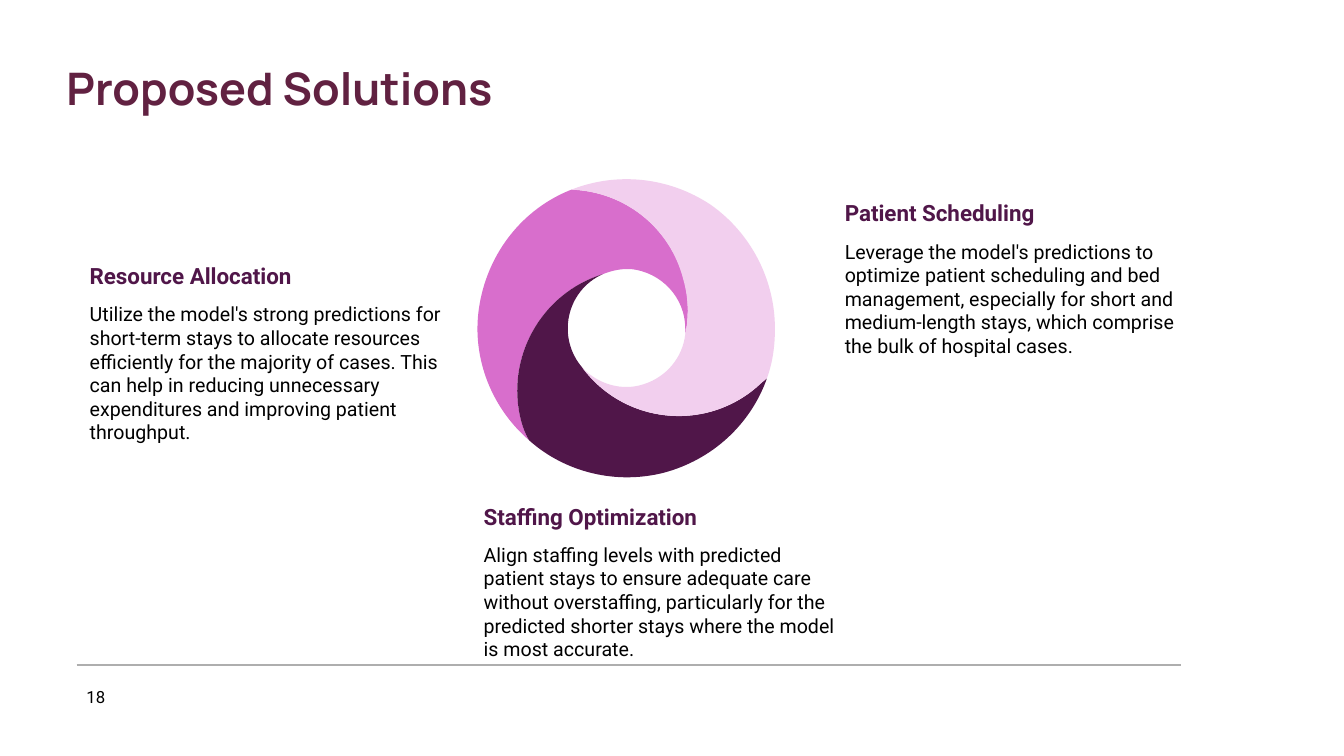
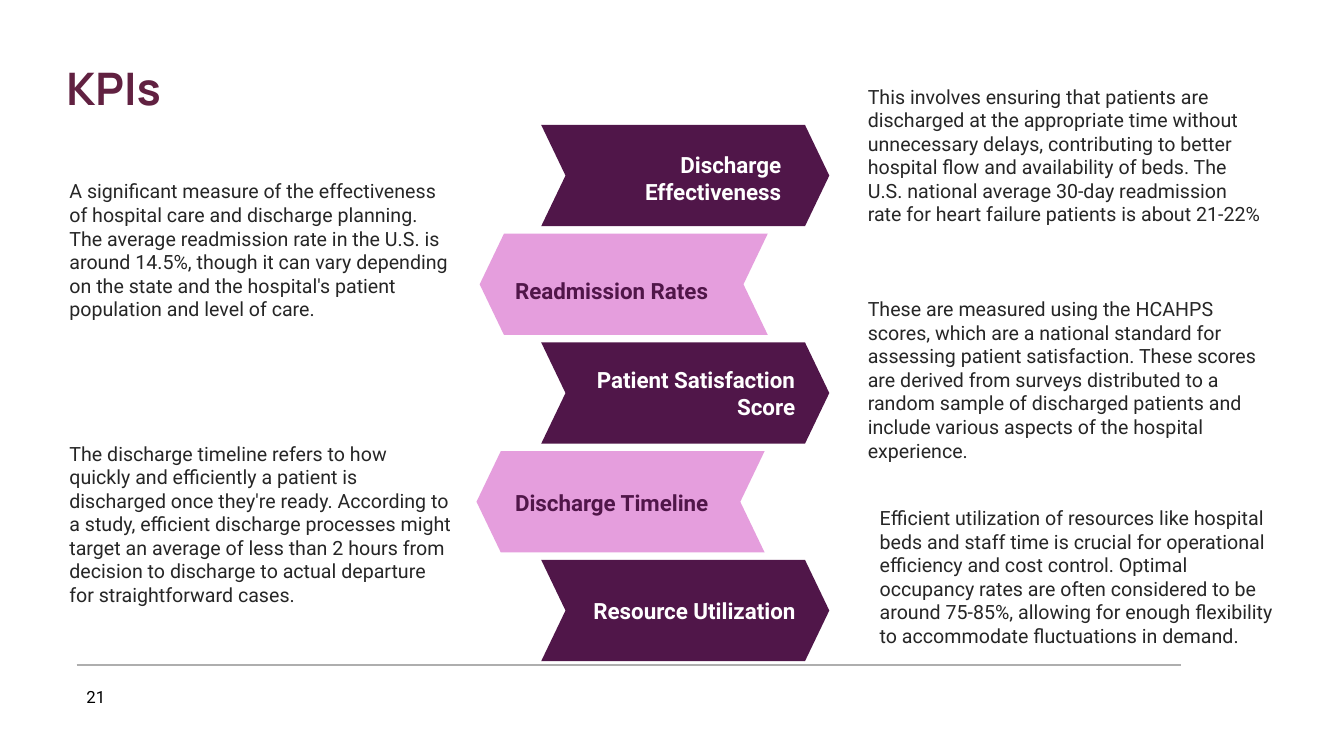
from lxml import etree
from pptx import Presentation
from pptx.dml.color import RGBColor
from pptx.enum.shapes import MSO_CONNECTOR, MSO_SHAPE
from pptx.enum.text import MSO_ANCHOR, MSO_AUTO_SIZE, PP_ALIGN
from pptx.oxml.ns import qn
from pptx.util import Cm, Pt

STRAIGHT = MSO_CONNECTOR.STRAIGHT
CHEVRON = MSO_SHAPE.CHEVRON
TOP, MIDDLE = MSO_ANCHOR.TOP, MSO_ANCHOR.MIDDLE
LEFT, RIGHT = PP_ALIGN.LEFT, PP_ALIGN.RIGHT
NO_AUTOFIT = MSO_AUTO_SIZE.NONE

TITLE_COLOR = "612141"
PLUM = "501649"
ORCHID = "D86ECC"
LILAC = "E59EDD"
PALE_PINK = "F2CFEE"
RULE_GRAY = "AEAEAE"
BLACK = "000000"
DARK_GRAY = "262626"
WHITE = "FFFFFF"
TITLE_FONT = "Manrope"
BODY_FONT = "Roboto"
TITLE_ONLY = 5
BODY_MARGIN = 0.33
LABEL_MARGIN = 0.25


def rgb(value):
    return RGBColor.from_string(value)


def write_text(shape, text, size, color, bold=False, font=BODY_FONT,
               align=LEFT, anchor=TOP, margin=None):
    frame = shape.text_frame
    frame.text = text
    frame.word_wrap = True
    frame.auto_size = NO_AUTOFIT
    frame.vertical_anchor = anchor
    if margin is not None:
        frame.margin_left = frame.margin_right = Cm(margin)
        frame.margin_top = frame.margin_bottom = Cm(margin)
    paragraph = frame.paragraphs[0]
    paragraph.alignment = align
    run_font = paragraph.runs[0].font
    run_font.name = font
    run_font.size = Pt(size)
    run_font.bold = bold
    run_font.color.rgb = rgb(color)
    return paragraph


presentation = Presentation()
presentation.slide_width = Cm(33.87)
presentation.slide_height = Cm(19.05)

slides = []
for title_text, page_number in [("Proposed Solutions", "18"), ("KPIs", "21")]:
    slide = presentation.slides.add_slide(presentation.slide_layouts[TITLE_ONLY])
    title = slide.shapes.title
    title.left, title.top = Cm(1.42), Cm(1.45)
    title.width, title.height = Cm(30), Cm(1.7)
    paragraph = write_text(title, title_text, 32, TITLE_COLOR, bold=True,
                           font=TITLE_FONT, anchor=MIDDLE)
    paragraph.line_spacing = 0.9

    rule = slide.shapes.add_connector(STRAIGHT, Cm(1.93), Cm(16.76), Cm(29.77), Cm(16.76))
    rule.line.color.rgb = rgb(RULE_GRAY)
    rule.line.width = Pt(1)
    etree.SubElement(rule.element.spPr, qn("a:effectLst"))

    number_box = slide.shapes.add_textbox(Cm(1.93), Cm(17.17), Cm(15), Cm(0.76))
    write_text(number_box, page_number, 12, BLACK)
    slides.append(slide)

solutions_slide, kpi_slide = slides

blades = [
    (ORCHID, [
        (17.27, 8.43),
        (17.27, 8.38), (17.27, 8.33), (17.27, 8.28),
        (17.27, 7.49), (16.66, 6.86), (15.9, 6.78),
        (15.85, 6.78), (15.82, 6.78), (15.8, 6.78),
        (15.6, 6.78), (15.39, 6.83), (15.19, 6.91),
        (13.64, 7.39), (12.73, 9.02), (13.13, 10.59),
        (13.18, 10.77), (13.23, 10.92), (13.34, 11.1),
        (12.34, 10.24), (11.86, 8.92), (12.09, 7.65),
        (12.32, 6.35), (13.18, 5.26), (14.4, 4.78),
        (16.31, 4.85), (17.65, 6.6), (17.27, 8.43),
    ]),
    (PLUM, [
        (19.33, 9.53),
        (18.92, 10.69), (17.96, 11.58), (16.74, 11.91),
        (15.54, 12.22), (14.25, 11.91), (13.34, 11.1),
        (13.23, 10.92), (13.18, 10.77), (13.13, 10.59),
        (12.73, 9.02), (13.64, 7.39), (15.19, 6.91),
        (14.27, 7.32), (14.02, 8.51), (14.68, 9.27),
        (15.72, 10.67), (17.75, 10.9), (19.08, 9.75),
        (19.15, 9.68), (19.25, 9.6), (19.33, 9.53),
    ]),
    (PALE_PINK, [
        (19.53, 8.28),
        (19.53, 8.69), (19.48, 9.12), (19.33, 9.53),
        (19.25, 9.6), (19.15, 9.68), (19.08, 9.75),
        (17.75, 10.9), (15.72, 10.67), (14.68, 9.27),
        (15.09, 9.7), (15.7, 9.86), (16.23, 9.68),
        (16.79, 9.5), (17.2, 9.02), (17.27, 8.43),
        (17.37, 7.98), (17.35, 7.49), (17.22, 7.04),
        (16.89, 5.74), (15.75, 4.83), (14.4, 4.78),
        (15.57, 4.32), (16.87, 4.47), (17.91, 5.16),
        (18.92, 5.87), (19.53, 7.04), (19.53, 8.28),
    ]),
]
for color, points in blades:
    start, *controls = [(Cm(x), Cm(y)) for x, y in points]
    builder = solutions_slide.shapes.build_freeform(*start)
    builder.add_line_segments(controls, close=True)
    blade = builder.convert_to_shape()
    blade.shadow.inherit = False
    blade.fill.solid()
    blade.fill.fore_color.rgb = rgb(color)
    blade.line.fill.background()
    segments = list(blade.element.iter(qn("a:lnTo")))
    for index in range(0, len(segments), 3):
        curve = etree.Element(qn("a:cubicBezTo"))
        segments[index].addprevious(curve)
        for segment in segments[index:index + 3]:
            curve.append(segment[0])
            segment.getparent().remove(segment)

solutions = [
    (20.96, 4.7, "Patient Scheduling",
     "Leverage the model's predictions to optimize patient scheduling and bed "
     "management, especially for short and medium-length stays, which comprise "
     "the bulk of hospital cases."),
    (1.93, 6.28, "Resource Allocation",
     "Utilize the model's strong predictions for short-term stays to allocate "
     "resources efficiently for the majority of cases. This can help in reducing "
     "unnecessary expenditures and improving patient throughput."),
    (11.86, 12.34, "Staffing Optimization",
     "Align staffing levels with predicted patient stays to ensure adequate care "
     "without overstaffing, particularly for the predicted shorter stays where "
     "the model is most accurate."),
]
for left, top, heading, body in solutions:
    heading_box = solutions_slide.shapes.add_textbox(Cm(left), Cm(top), Cm(6.55), Cm(1.2))
    write_text(heading_box, heading, 16, PLUM, bold=True, margin=BODY_MARGIN)
    body_box = solutions_slide.shapes.add_textbox(Cm(left), Cm(top + 1.01), Cm(9.73), Cm(4.24))
    write_text(body_box, body, 14, BLACK, margin=BODY_MARGIN)

ARROW_TOP = 3.15
ARROW_PITCH = 2.74
ARROW_WIDTH = 7.26
ARROW_HEIGHT = 2.55

kpis = [
    ("Discharge Effectiveness", 13.64, (14.1, 3.56, 5.84), (21.54, 1.8, 10.64),
     "This involves ensuring that patients are discharged at the appropriate time "
     "without unnecessary delays, contributing to better hospital flow and "
     "availability of beds. The U.S. national average 30-day readmission rate for "
     "heart failure patients is about 21-22%"),
    ("Readmission Rates", 12.09, (12.73, 6.73, 5.66), (1.42, 4.19, 10.31),
     "A significant measure of the effectiveness of hospital care and discharge "
     "planning. The average readmission rate in the U.S. is around 14.5%, though it "
     "can vary depending on the state and the hospital's patient population and "
     "level of care."),
    ("Patient Satisfaction Score", 13.64, (14.6, 8.97, 5.69), (21.54, 7.16, 10.64),
     "These are measured using the HCAHPS scores, which are a national standard for "
     "assessing patient satisfaction. These scores are derived from surveys "
     "distributed to a random sample of discharged patients and include various "
     "aspects of the hospital experience."),
    ("Discharge Timeline", 12.01, (12.73, 12.07, 5.54), (1.42, 10.8, 10.31),
     "The discharge timeline refers to how quickly and efficiently a patient is "
     "discharged once they're ready. According to a study, efficient discharge "
     "processes might target an average of less than 2 hours from decision to "
     "discharge to actual departure for straightforward cases."),
    ("Resource Utilization", 13.64, (14, 14.81, 6.3), (21.84, 12.42, 10.64),
     "Efficient utilization of resources like hospital beds and staff time is "
     "crucial for operational efficiency and cost control. Optimal occupancy rates "
     "are often considered to be around 75-85%, allowing for enough flexibility to "
     "accommodate fluctuations in demand."),
]
for index, (name, arrow_left, label_place, body_place, body) in enumerate(kpis):
    points_left = index % 2 == 1
    arrow = kpi_slide.shapes.add_shape(
        CHEVRON, Cm(arrow_left), Cm(ARROW_TOP + index * ARROW_PITCH),
        Cm(ARROW_WIDTH), Cm(ARROW_HEIGHT))
    arrow.adjustments[0] = 0.24
    arrow.shadow.inherit = False
    arrow.fill.solid()
    arrow.fill.fore_color.rgb = rgb(LILAC if points_left else PLUM)
    arrow.line.fill.background()
    if points_left:
        arrow.element.spPr.xfrm.set("flipH", "1")

    left, top, width = label_place
    label_box = kpi_slide.shapes.add_textbox(Cm(left), Cm(top), Cm(width), Cm(1.7))
    write_text(label_box, name, 16, PLUM if points_left else WHITE, bold=True,
               align=LEFT if points_left else RIGHT, margin=LABEL_MARGIN)

    left, top, width = body_place
    body_box = kpi_slide.shapes.add_textbox(Cm(left), Cm(top), Cm(width), Cm(4.24))
    write_text(body_box, body, 14, DARK_GRAY, margin=BODY_MARGIN)

presentation.save("out.pptx")
